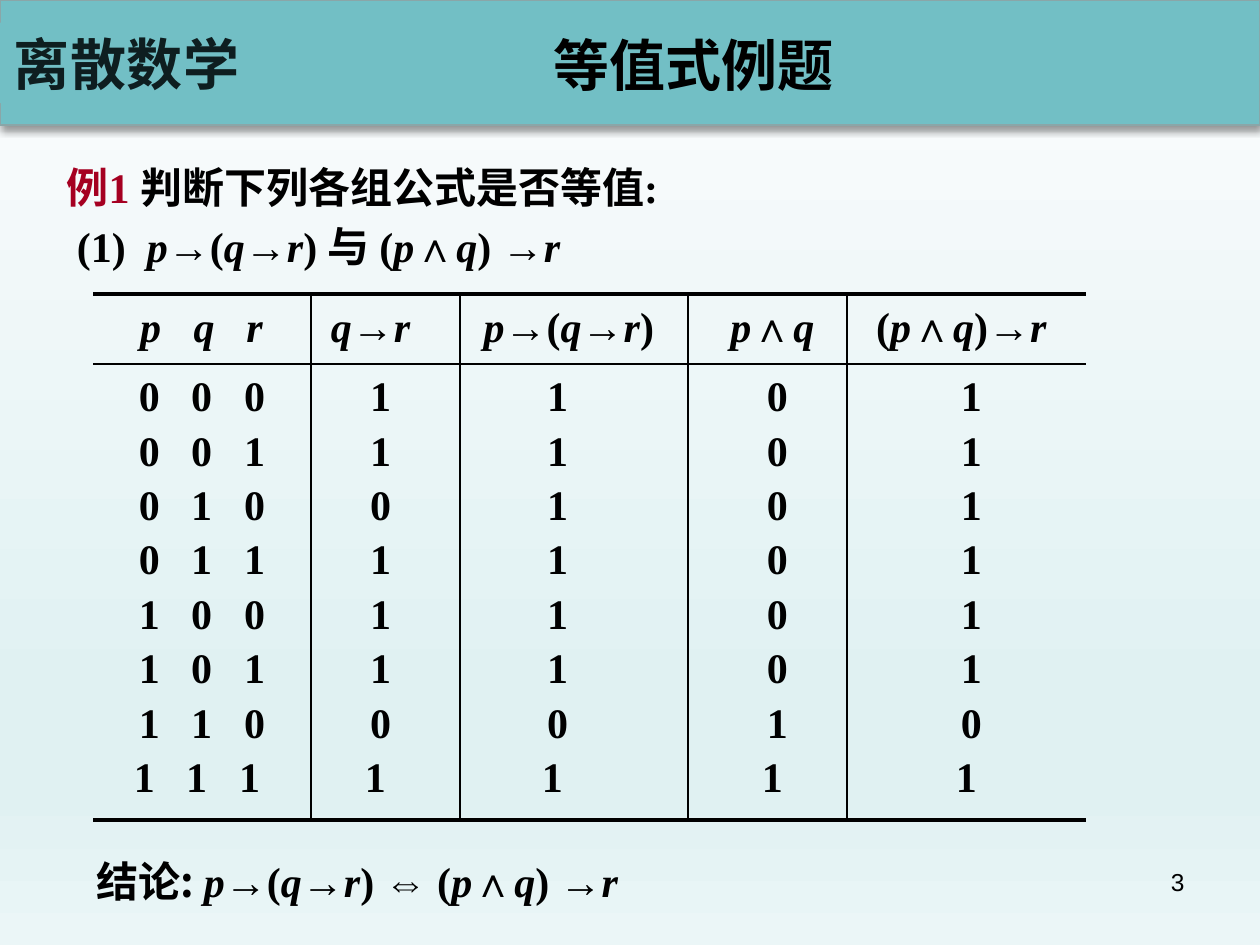
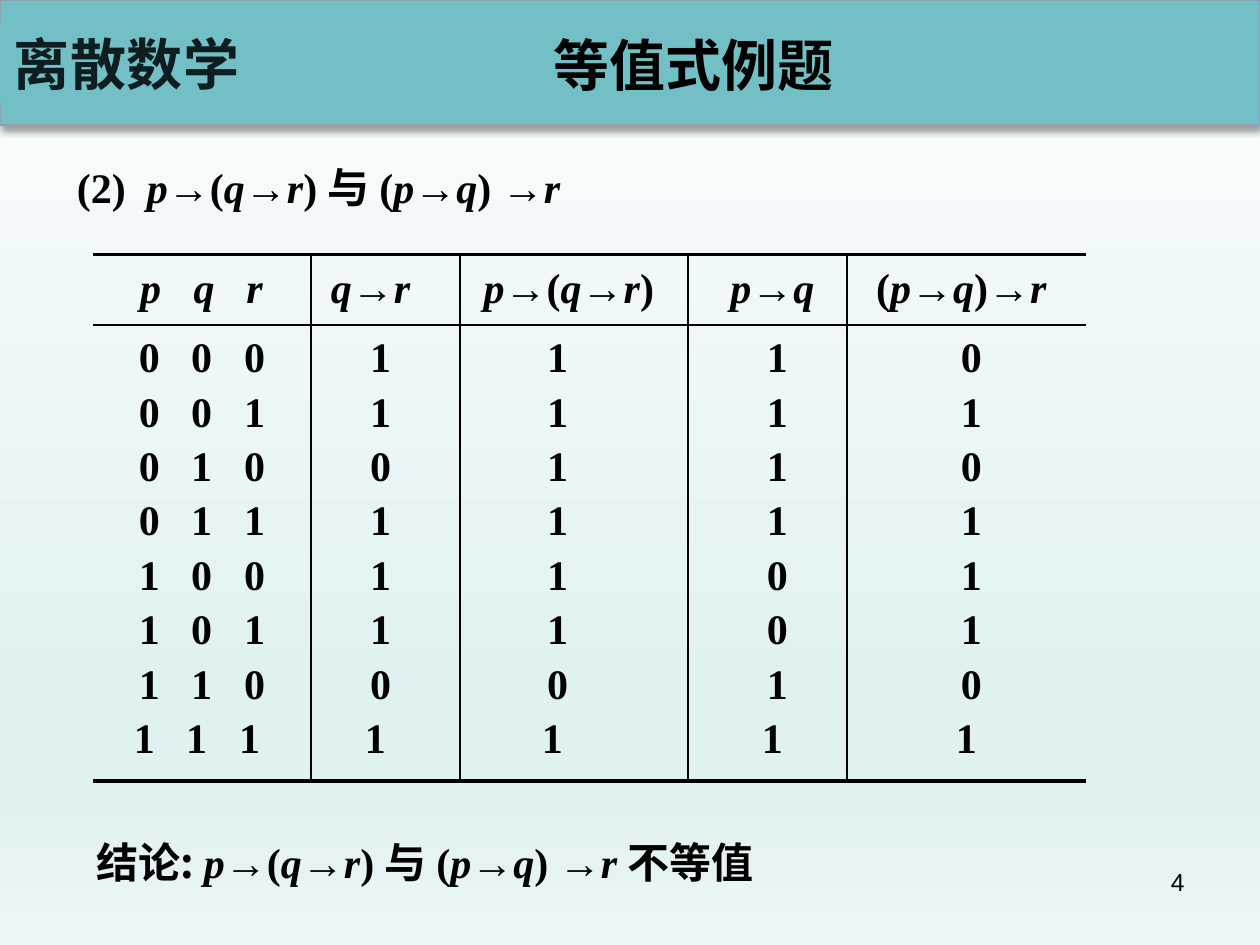
from copy import deepcopy
from itertools import accumulate, groupby

from lxml.etree import SubElement
from pptx import Presentation
from pptx.dml.color import RGBColor
from pptx.enum.shapes import MSO_CONNECTOR, MSO_SHAPE
from pptx.enum.text import MSO_ANCHOR, PP_ALIGN
from pptx.oxml.ns import qn
from pptx.util import Inches, Pt

COURSE = "离散数学"
TITLE = "等值式例题"
SERIF, SANS, CHINESE = "Times New Roman", "Arial", "Noto Sans CJK SC"
BLACK, RED, TEAL, TEAL_LINE, DARK_TEAL = "000000", "A50021", "72BFC5", "8AA6A8", "0E1E20"
BACKGROUND = [(0, "FCFDFE"), (0.74, "E0F1F2"), (0.83, "E0F1F2"), (1, "EBF6F7")]

# Each table column: heading and its values, top to bottom
SHARED_COLUMNS = [
    ("p", "00001111"),
    ("q", "00110011"),
    ("r", "01010101"),
    ("q→r", "11011101"),
    ("p→(q→r)", "11111101"),
]
# A line of text is a list of (text, font, colour)
SLIDES = [
    {
        "number": "3",
        "question": [
            [("例1 ", SERIF, RED), ("判断下列各组公式是否等值:", SERIF, BLACK)],
            [(" (1)  p→(q→r) 与 (p∧q) →r", SERIF, BLACK)],
        ],
        "columns": SHARED_COLUMNS + [("p∧q", "00000011"), ("(p∧q)→r", "11111101")],
        "table_top": 2.33,
        "conclusion": "p→(q→r) ⇔ (p∧q) →r",
        "conclusion_top": 6.74,
    },
    {
        "number": "4",
        "question": [[(" (2)  p→(q→r) 与 (p→q) →r", SERIF, BLACK)]],
        "columns": SHARED_COLUMNS + [("p→q", "11110011"), ("(p→q)→r", "01011101")],
        "table_top": 2.02,
        "conclusion": "p→(q→r) 与 (p→q) →r 不等值",
        "conclusion_top": 6.59,
    },
]

TABLE_LEFT = 0.74
COLUMN_WIDTHS = [0.65, 0.42, 0.66, 1.18, 1.81, 1.26, 1.9]
# Text centre against cell centre
HEADING_SHIFTS = [0.13, 0.02, -0.12, -0.12, -0.04, 0.04, -0.04]
VALUE_SHIFTS = [0.12, 0, -0.12, -0.04, -0.13, 0.08, 0.04]
LAST_ROW_SHIFT = -0.04
FIRST_RULED_COLUMN = 3
HEADING_HEIGHT, VALUES_HEIGHT = 0.61, 3.46
HEADING_MARGIN, VALUE_MARGIN = 0.09, 0.03
HEADING_RULE, BOTTOM_RULE = 0.56, 4.18  # below the top of the table
THICK, THIN = 2.25, 1
NO_STYLE = "{2D5ABB26-0587-4C30-8999-92F81FD0307C}"


def color(hex_string):
    return RGBColor.from_string(hex_string)


def add_run(paragraph, text, size, font, hex_color, bold=True, italic=False):
    run = paragraph.add_run()
    run.text = text
    run.font.size, run.font.name = Pt(size), font
    run.font.bold, run.font.italic = bold, italic
    run.font.color.rgb = color(hex_color)
    SubElement(run.font._element, qn("a:ea"), typeface=CHINESE)
    return run


def add_formula(paragraph, text, font=SERIF, hex_color=BLACK):
    """Write text with the variables p, q and r in italics."""
    for is_variable, letters in groupby(text, key=lambda letter: letter in "pqr"):
        add_run(paragraph, "".join(letters), 24, font, hex_color, italic=is_variable)


def add_text_box(slide, left, top, width, height, align=PP_ALIGN.LEFT):
    frame = slide.shapes.add_textbox(*map(Inches, (left, top, width, height))).text_frame
    frame.word_wrap = True
    frame.paragraphs[0].alignment = align
    return frame


def add_rectangle(slide, left, top, width, height):
    shape = slide.shapes.add_shape(MSO_SHAPE.RECTANGLE, *map(Inches, (left, top, width, height)))
    shape.shadow.inherit = False
    shape.fill.solid()
    shape.fill.fore_color.rgb = color(TEAL)
    return shape


def add_band(slide):
    band = add_rectangle(slide, 0, 0, 10, 0.99)
    band.line.color.rgb = color(TEAL_LINE)
    band.line.width = Pt(1)
    effects = band._element.spPr.find(qn("a:effectLst"))
    shadow = SubElement(effects, qn("a:outerShdw"), blurRad=str(Pt(4)), dist=str(Pt(3)),
                        dir="5400000", algn="t", rotWithShape="0")
    shadow_color = SubElement(shadow, qn("a:srgbClr"), val=BLACK)
    SubElement(shadow_color, qn("a:alpha"), val="40000")

    course = add_rectangle(slide, 0, 0.18, 2.01, 0.64)
    course.line.fill.background()
    paragraph = course.text_frame.paragraphs[0]
    paragraph.alignment = PP_ALIGN.CENTER
    course.text_frame.word_wrap = True
    run = add_run(paragraph, COURSE, 32, CHINESE, DARK_TEAL)
    run.font._element.set("spc", "50")

    title = add_text_box(slide, 2.16, 0.28, 6.69, 0.46, PP_ALIGN.CENTER)
    title.vertical_anchor = MSO_ANCHOR.MIDDLE
    add_run(title.paragraphs[0], TITLE, 32, SANS, BLACK)


def add_rule(slide, start, end, width):
    rule = slide.shapes.add_connector(MSO_CONNECTOR.STRAIGHT, *map(Inches, (*start, *end)))
    rule.line.color.rgb = color(BLACK)
    rule.line.width = Pt(width)
    SubElement(rule._element.spPr, qn("a:effectLst"))


def add_rules(slide, top):
    right = TABLE_LEFT + sum(COLUMN_WIDTHS)
    for offset, width in [(0, THICK), (HEADING_RULE, THIN), (BOTTOM_RULE, THICK)]:
        add_rule(slide, (TABLE_LEFT, top + offset), (right, top + offset), width)
    column_edges = list(accumulate(COLUMN_WIDTHS, initial=TABLE_LEFT))
    for edge in column_edges[FIRST_RULED_COLUMN:-1]:
        add_rule(slide, (edge, top), (edge, top + BOTTOM_RULE), THIN)


def fill_cell(cell, text, shift, margin_top):
    cell.margin_left = Inches(max(2 * shift, 0))
    cell.margin_right = Inches(max(-2 * shift, 0))
    cell.margin_top, cell.margin_bottom = Inches(margin_top), 0
    cell.fill.background()
    paragraph = cell.text_frame.paragraphs[0]
    paragraph.alignment = PP_ALIGN.CENTER
    add_formula(paragraph, text)


def add_truth_table(slide, columns, top):
    value_count = len(columns[0][1])
    table = slide.shapes.add_table(
        value_count + 1, len(columns), Inches(TABLE_LEFT), Inches(top),
        Inches(sum(COLUMN_WIDTHS)), Inches(HEADING_HEIGHT + VALUES_HEIGHT)).table
    table.first_row = table.horz_banding = False
    table._tbl.tblPr.find(qn("a:tableStyleId")).text = NO_STYLE

    heights = [HEADING_HEIGHT] + [VALUES_HEIGHT / value_count] * value_count
    for row, height in zip(table.rows, heights):
        row.height = Inches(height)

    for column, (heading, values) in enumerate(columns):
        table.columns[column].width = Inches(COLUMN_WIDTHS[column])
        fill_cell(table.cell(0, column), heading, HEADING_SHIFTS[column], HEADING_MARGIN)
        for row, value in enumerate(values, start=1):
            shift = VALUE_SHIFTS[column] + (LAST_ROW_SHIFT if row == value_count else 0)
            fill_cell(table.cell(row, column), value, shift, VALUE_MARGIN)
    add_rules(slide, top)


def add_question(slide, lines):
    frame = add_text_box(slide, 0.43, 1.23, 7.73, 0.32 + 0.39 * len(lines))
    for index, pieces in enumerate(lines):
        paragraph = frame.add_paragraph() if index else frame.paragraphs[0]
        paragraph.space_before = Pt(5 if index else 0)
        for piece in pieces:
            add_formula(paragraph, *piece)


def add_conclusion(slide, formula, top):
    paragraph = add_text_box(slide, 0.67, top, 6.22, 0.56).paragraphs[0]
    add_formula(paragraph, "结论: ", CHINESE)
    add_formula(paragraph, formula)


def set_background(master):
    fill = master.background.fill
    fill.gradient()
    fill.gradient_angle = 270
    first_stop = fill.gradient_stops[0]._gs
    for _ in range(len(BACKGROUND) - len(fill.gradient_stops)):
        first_stop.addnext(deepcopy(first_stop))
    for stop, (position, hex_color) in zip(fill.gradient_stops, BACKGROUND):
        stop.position = position
        stop.color.rgb = color(hex_color)


def main():
    presentation = Presentation()
    presentation.slide_width, presentation.slide_height = Inches(10), Inches(7.5)
    set_background(presentation.slide_master)
    for content in SLIDES:
        slide = presentation.slides.add_slide(presentation.slide_layouts[6])
        add_band(slide)
        add_question(slide, content["question"])
        add_truth_table(slide, content["columns"], content["table_top"])
        add_conclusion(slide, content["conclusion"], content["conclusion_top"])
        number = add_text_box(slide, 7.17, 6.83, 2.33, 0.52, PP_ALIGN.RIGHT)
        add_run(number.paragraphs[0], content["number"], 14, SANS, BLACK, bold=False)
    presentation.save("out.pptx")


if __name__ == "__main__":
    main()
